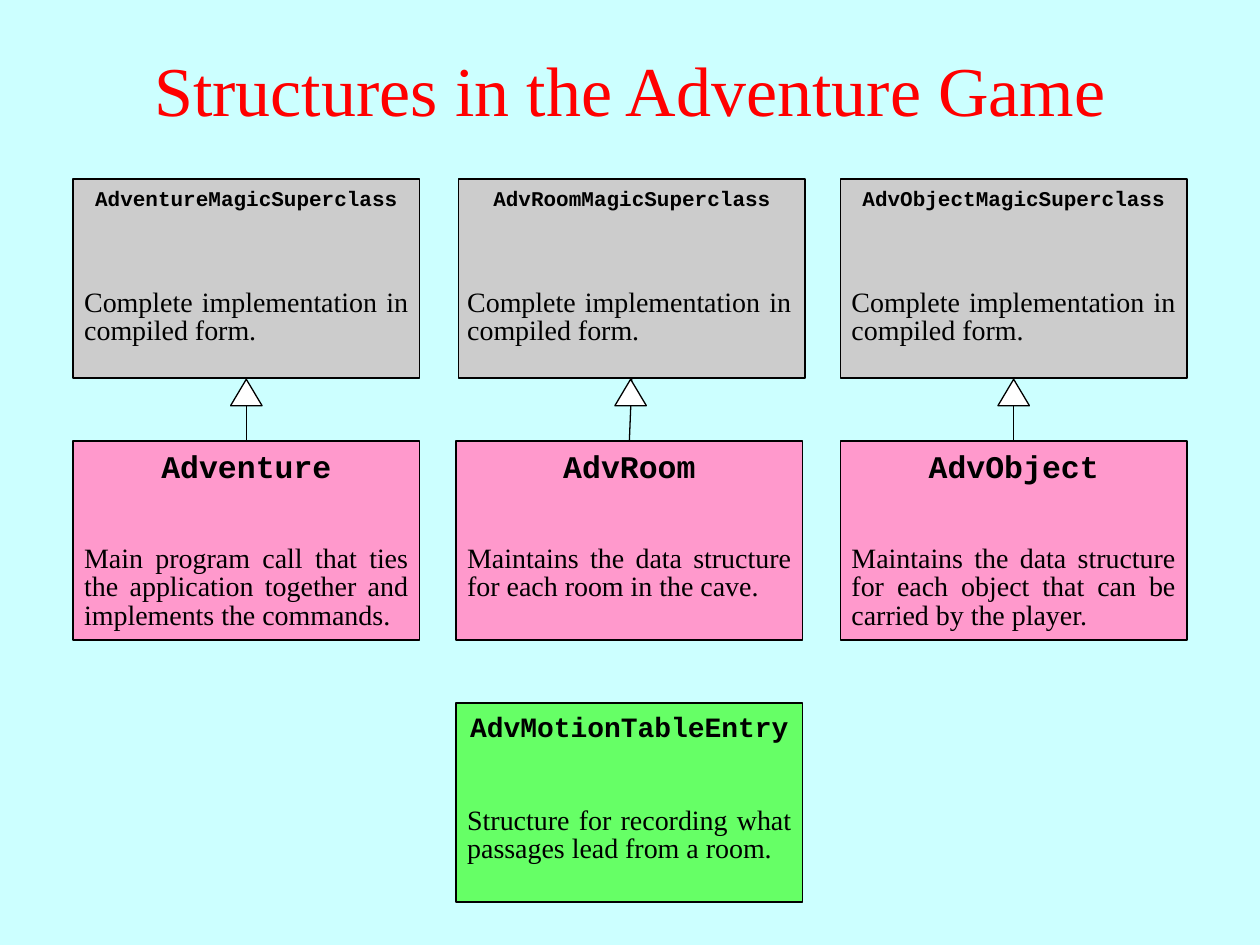
from pptx import Presentation
from pptx.dml.color import RGBColor
from pptx.enum.shapes import MSO_CONNECTOR, MSO_SHAPE
from pptx.enum.text import MSO_ANCHOR, PP_ALIGN
from pptx.util import Inches, Pt
from lxml import etree

RECTANGLE, TRIANGLE = MSO_SHAPE.RECTANGLE, MSO_SHAPE.ISOSCELES_TRIANGLE
STRAIGHT = MSO_CONNECTOR.STRAIGHT
CENTER, JUSTIFY = PP_ALIGN.CENTER, PP_ALIGN.JUSTIFY
TOP, MIDDLE = MSO_ANCHOR.TOP, MSO_ANCHOR.MIDDLE
DRAWING = "http://schemas.openxmlformats.org/drawingml/2006/main"

COLORS = {
    "background": "CCFFFF",
    "title": "FF0000",
    "ink": "000000",
    "superclass": "CCCCCC",
    "class": "FF99CC",
    "structure": "66FF66",
    "arrowhead": "FFFFFF",
}
SERIF, MONO = "Times New Roman", "Courier New"
BOX_WIDTH, BOX_HEIGHT = 2.75, 1.58
SUPER_TOP, CLASS_TOP, STRUCTURE_TOP = 1.42, 3.5, 5.58
COMPILED = "Complete implementation in compiled form."


def write_text(shape, text, anchor, font, paragraph):
    frame = shape.text_frame
    frame.word_wrap = True
    frame.vertical_anchor = anchor
    para = frame.paragraphs[0]
    for name, value in paragraph.items():
        setattr(para, name, value)
    span = para.add_run()
    span.text = text
    for name, value in font.items():
        if name == "color":
            span.font.color.rgb = RGBColor.from_string(COLORS[value])
        else:
            setattr(span.font, name, value)


def add_outlined(kind, left, top, width, height, fill):
    shape = page.shapes.add_shape(
        kind, Inches(left), Inches(top), Inches(width), Inches(height))
    shape.shadow.inherit = False
    shape.fill.solid()
    shape.fill.fore_color.rgb = RGBColor.from_string(COLORS[fill])
    shape.line.color.rgb = RGBColor.from_string(COLORS["ink"])
    shape.line.width = Pt(0.75)
    return shape


deck = Presentation()
deck.slide_width, deck.slide_height = Inches(10), Inches(7.5)
page = deck.slides.add_slide(deck.slide_layouts[5])
page.background.fill.solid()
page.background.fill.fore_color.rgb = RGBColor.from_string(COLORS["background"])

title = page.shapes.title
title.left, title.top = Inches(0), Inches(0.08)
title.width, title.height = Inches(10), Inches(1.25)
write_text(title, "Structures in the Adventure Game", MIDDLE,
           {"name": SERIF, "size": Pt(40), "color": "title"},
           {"alignment": CENTER})

boxes = [
    ("AdventureMagicSuperclass", COMPILED, "superclass", 0.58, SUPER_TOP, 12, 0.3, 0.83, 0.56),
    ("AdvRoomMagicSuperclass", COMPILED, "superclass", 3.64, SUPER_TOP, 12, 0.3, 0.83, 0.56),
    ("AdvObjectMagicSuperclass", COMPILED, "superclass", 6.67, SUPER_TOP, 12, 0.3, 0.83, 0.56),
    ("Adventure", "Main program call that ties the application together and implements the commands.",
     "class", 0.58, CLASS_TOP, 18, 0.4, 0.78, 0.78),
    ("AdvRoom", "Maintains the data structure for each room in the cave.",
     "class", 3.62, CLASS_TOP, 18, 0.4, 0.78, 0.56),
    ("AdvObject", "Maintains the data structure for each object that can be carried by the player.",
     "class", 6.67, CLASS_TOP, 18, 0.4, 0.78, 0.78),
    ("AdvMotionTableEntry", "Structure for recording what passages lead from a room.",
     "structure", 3.62, STRUCTURE_TOP, 16, 0.37, 0.78, 0.56),
]
body_lefts = {0.58: 0.57, 3.62: 3.61, 3.64: 3.61, 6.67: 6.66}
rectangles = {}
for name, description, fill, left, top, size, name_height, offset, body_height in boxes:
    rectangles[name] = add_outlined(RECTANGLE, left, top, BOX_WIDTH, BOX_HEIGHT, fill)
    heading = page.shapes.add_textbox(
        Inches(left), Inches(top), Inches(BOX_WIDTH), Inches(name_height))
    write_text(heading, name, TOP,
               {"name": MONO, "size": Pt(size), "bold": True, "color": "ink"},
               {"alignment": CENTER, "space_before": Pt(size * 0.625)})
    body = page.shapes.add_textbox(
        Inches(body_lefts[left]), Inches(top + offset), Inches(2.77), Inches(body_height))
    write_text(body, description, TOP,
               {"name": SERIF, "size": Pt(16), "color": "ink"},
               {"alignment": JUSTIFY, "line_spacing": 0.85})

for name, head_left in (("Adventure", 1.83), ("AdvRoom", 4.88), ("AdvObject", 7.92)):
    link = page.shapes.add_connector(STRAIGHT, 0, 0, 0, 0)
    link.begin_connect(rectangles[name], 0)
    link.end_connect(rectangles[name + "MagicSuperclass"], 2)
    link.line.color.rgb = RGBColor.from_string(COLORS["ink"])
    link.line.width = Pt(0.75)
    etree.SubElement(link._element.spPr, f"{{{DRAWING}}}effectLst")
    add_outlined(TRIANGLE, head_left, 3.01, 0.25, 0.21, "arrowhead")

deck.save("out.pptx")
